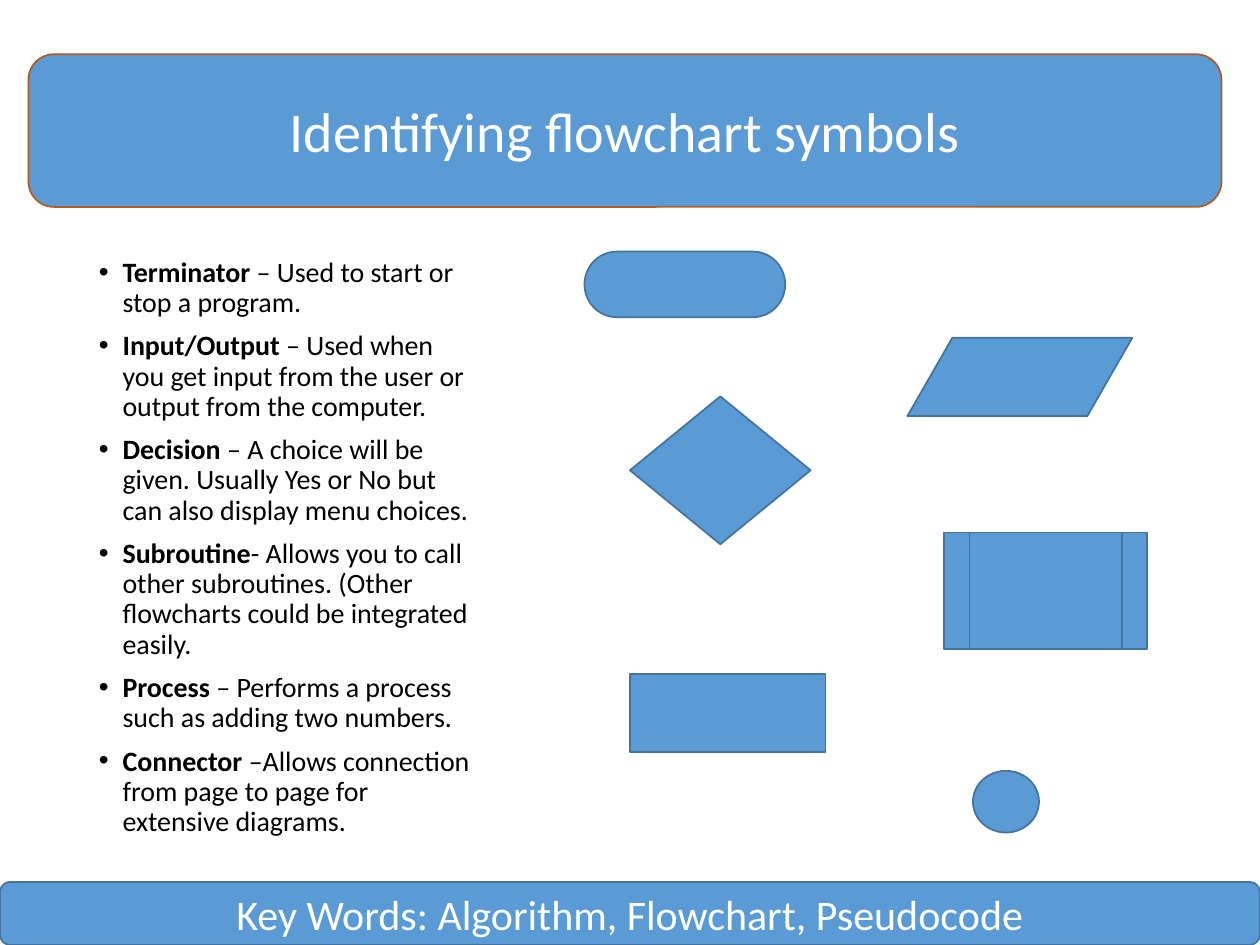
from lxml.etree import SubElement
from pptx import Presentation
from pptx.dml.color import RGBColor
from pptx.enum.shapes import MSO_SHAPE as Shape
from pptx.enum.text import MSO_ANCHOR as Anchor, PP_ALIGN as Align
from pptx.oxml.ns import qn
from pptx.util import Pt

COLORS = {
    "fill": "5B9BD5",
    "outline": "43739E",
    "title_outline": "AF5C24",
    "light_text": "FFFFFF",
    "dark_text": "000000",
}
FONT = "Calibri"
INDENT = Pt(13.5)

DEFINITIONS = [
    ("Terminator", " – Used to start or stop a program."),
    ("Input/Output ", "– Used when you get input from the user or output from the computer."),
    ("Decision", " – A choice will be given. Usually Yes or No but can also display menu choices."),
    ("Subroutine", "- Allows you to call other subroutines. (Other flowcharts could be integrated easily."),
    ("Process", " – Performs a process such as adding two numbers."),
    ("Connector", " –Allows connection from page to page for extensive diagrams."),
]

# Preset, then left, top, width and height in points
SYMBOLS = [
    (Shape.FLOWCHART_TERMINATOR, (334, 143.75, 114.75, 37.5)),
    (Shape.FLOWCHART_DATA, (518.5, 193, 128.5, 44.75)),
    (Shape.FLOWCHART_DECISION, (360, 226.5, 103.25, 84.5)),
    (Shape.FLOWCHART_PROCESS, (360, 385, 111.75, 44.75)),
    (Shape.FLOWCHART_PREDEFINED_PROCESS, (539.5, 304.25, 116, 66.5)),
    (Shape.FLOWCHART_CONNECTOR, (556, 440.5, 37.75, 35.25)),
]


def color(name):
    return RGBColor.from_string(COLORS[name])


def style_font(font, size, color_name, bold=False):
    font.name = FONT
    font.size = Pt(size)
    font.bold = bold
    font.color.rgb = color(color_name)


def add_symbol(slide, preset, box, outline="outline"):
    symbol = slide.shapes.add_shape(preset, *map(Pt, box))
    symbol.shadow.inherit = False
    symbol.fill.solid()
    symbol.fill.fore_color.rgb = color("fill")
    symbol.line.color.rgb = color(outline)
    symbol.line.width = Pt(1)
    return symbol


def add_banner(slide, text, box, size, outline="outline"):
    banner = add_symbol(slide, Shape.ROUNDED_RECTANGLE, box, outline)
    frame = banner.text_frame
    frame.text = text
    frame.word_wrap = True
    frame.vertical_anchor = Anchor.MIDDLE
    heading = frame.paragraphs[0]
    heading.alignment = Align.CENTER
    style_font(heading.runs[0].font, size, "light_text")


def set_bullet(paragraph):
    properties = paragraph._p.get_or_add_pPr()
    properties.set("marL", str(INDENT))
    properties.set("indent", str(-INDENT))
    SubElement(properties, qn("a:buFont"), typeface="Arial")
    SubElement(properties, qn("a:buChar"), char="•")


def add_definitions(slide, definitions, box):
    """Bulleted list with each term in bold before its meaning."""
    frame = slide.shapes.add_textbox(*map(Pt, box)).text_frame
    frame.word_wrap = True
    for index, definition in enumerate(definitions):
        entry = frame.add_paragraph() if index else frame.paragraphs[0]
        entry.line_spacing = 0.9
        entry.space_before = Pt(7.5)
        set_bullet(entry)
        for part, bold in zip(definition, (True, False)):
            run = entry.add_run()
            run.text = part
            style_font(run.font, 16, "dark_text", bold)


def main():
    deck = Presentation()
    deck.slide_width, deck.slide_height = Pt(720), Pt(540)
    slide = deck.slides.add_slide(deck.slide_layouts[6])

    add_banner(slide, "Identifying flowchart symbols", (16.25, 31, 681.75, 87.25), 32, "title_outline")
    add_banner(slide, "Key Words: Algorithm, Flowchart, Pseudocode", (0, 504, 720, 36), 24)
    add_definitions(slide, DEFINITIONS, (49.5, 144, 227, 342.5))
    for preset, box in SYMBOLS:
        add_symbol(slide, preset, box)

    deck.save("out.pptx")


if __name__ == "__main__":
    main()
